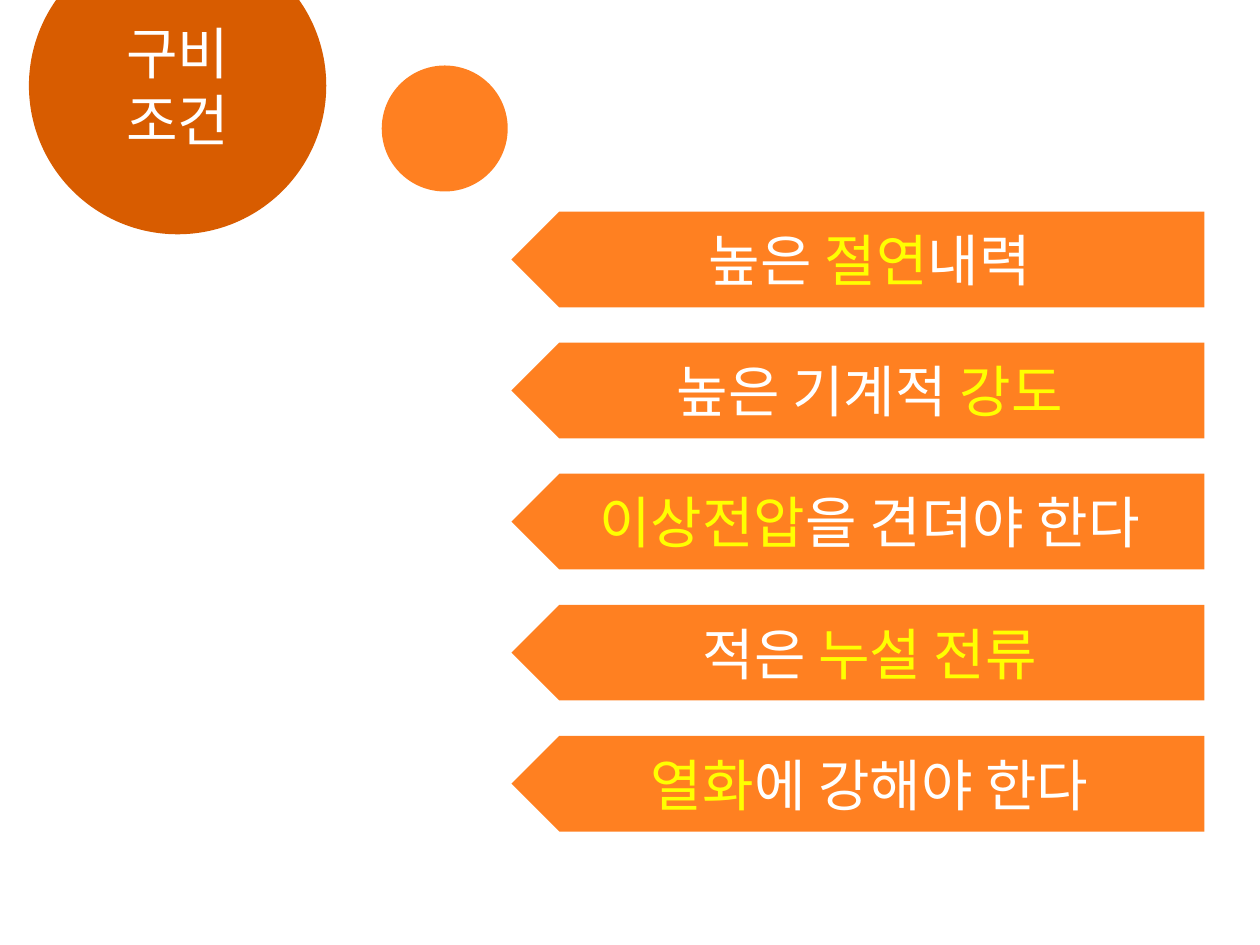
from dataclasses import dataclass

import pptx
import pptx.dml.color
import pptx.enum.shapes
import pptx.enum.text
import pptx.oxml.ns
import pptx.util
from lxml import etree
from pptx.util import Inches

FONT = "Noto Sans CJK KR"
WHITE = "FFFFFF"
YELLOW = "FFFF00"
ORANGE = "FF8021"
DARK_ORANGE = "D85C00"
SHAPES = pptx.enum.shapes.MSO_SHAPE


@dataclass
class Phrase:
    text: str
    color: str = WHITE


@dataclass
class Circle:
    left: float
    top: float
    diameter: float
    fill: str
    phrases: tuple[Phrase, ...] = ()


CIRCLES = [
    Circle(0.23, -0.5, 2.36, DARK_ORANGE, (Phrase("구비 조건"),)),
    Circle(3.03, 0.52, 1, ORANGE),
]

CONDITIONS = [
    (Phrase("높은 "), Phrase("절연", YELLOW), Phrase("내력")),
    (Phrase("높은 기계적 "), Phrase("강도", YELLOW)),
    (Phrase("이상전압", YELLOW), Phrase("을 견뎌야 한다")),
    (Phrase("적은 "), Phrase("누설 전류", YELLOW)),
    (Phrase("열화", YELLOW), Phrase("에 강해야 한다")),
]
ARROW_LEFT, ARROW_TOP = 4.06, 1.68
ARROW_WIDTH, ARROW_HEIGHT = 5.5, 0.76
ARROW_PITCH = 1.04


def rgb(color: str) -> pptx.dml.color.RGBColor:
    return pptx.dml.color.RGBColor.from_string(color)


def write_phrases(shape, phrases: tuple[Phrase, ...]) -> None:
    text_frame = shape.text_frame
    text_frame.word_wrap = True
    text_frame.vertical_anchor = pptx.enum.text.MSO_ANCHOR.MIDDLE
    paragraph = text_frame.paragraphs[0]
    paragraph.alignment = pptx.enum.text.PP_ALIGN.CENTER
    for phrase in phrases:
        run = paragraph.add_run()
        run.text = phrase.text
        run.font.size = pptx.util.Pt(32)
        run.font.name = FONT
        run.font.color.rgb = rgb(phrase.color)
        properties = run.font._element
        etree.SubElement(properties, pptx.oxml.ns.qn("a:ea"), typeface=FONT)


def add_filled_shape(slide, kind, left: float, top: float, width: float,
                     height: float, fill: str, phrases: tuple[Phrase, ...]):
    shape = slide.shapes.add_shape(
        kind, Inches(left), Inches(top), Inches(width), Inches(height)
    )
    shape.shadow.inherit = False
    shape.fill.solid()
    shape.fill.fore_color.rgb = rgb(fill)
    shape.line.fill.background()
    write_phrases(shape, phrases)
    return shape


def add_circle(slide, circle: Circle) -> None:
    add_filled_shape(slide, SHAPES.OVAL, circle.left, circle.top,
                     circle.diameter, circle.diameter, circle.fill, circle.phrases)


def add_condition(slide, index: int, phrases: tuple[Phrase, ...]) -> None:
    arrow = add_filled_shape(
        slide, SHAPES.PENTAGON, ARROW_LEFT, ARROW_TOP + index * ARROW_PITCH,
        ARROW_WIDTH, ARROW_HEIGHT, ORANGE, phrases,
    )
    arrow._element.spPr.get_or_add_xfrm().set("flipH", "1")


def main() -> None:
    presentation = pptx.Presentation()
    presentation.slide_width = Inches(10)
    presentation.slide_height = Inches(7.5)
    slide = presentation.slides.add_slide(presentation.slide_layouts[6])
    for circle in CIRCLES:
        add_circle(slide, circle)
    for index, phrases in enumerate(CONDITIONS):
        add_condition(slide, index, phrases)
    presentation.save("out.pptx")


if __name__ == "__main__":
    main()
